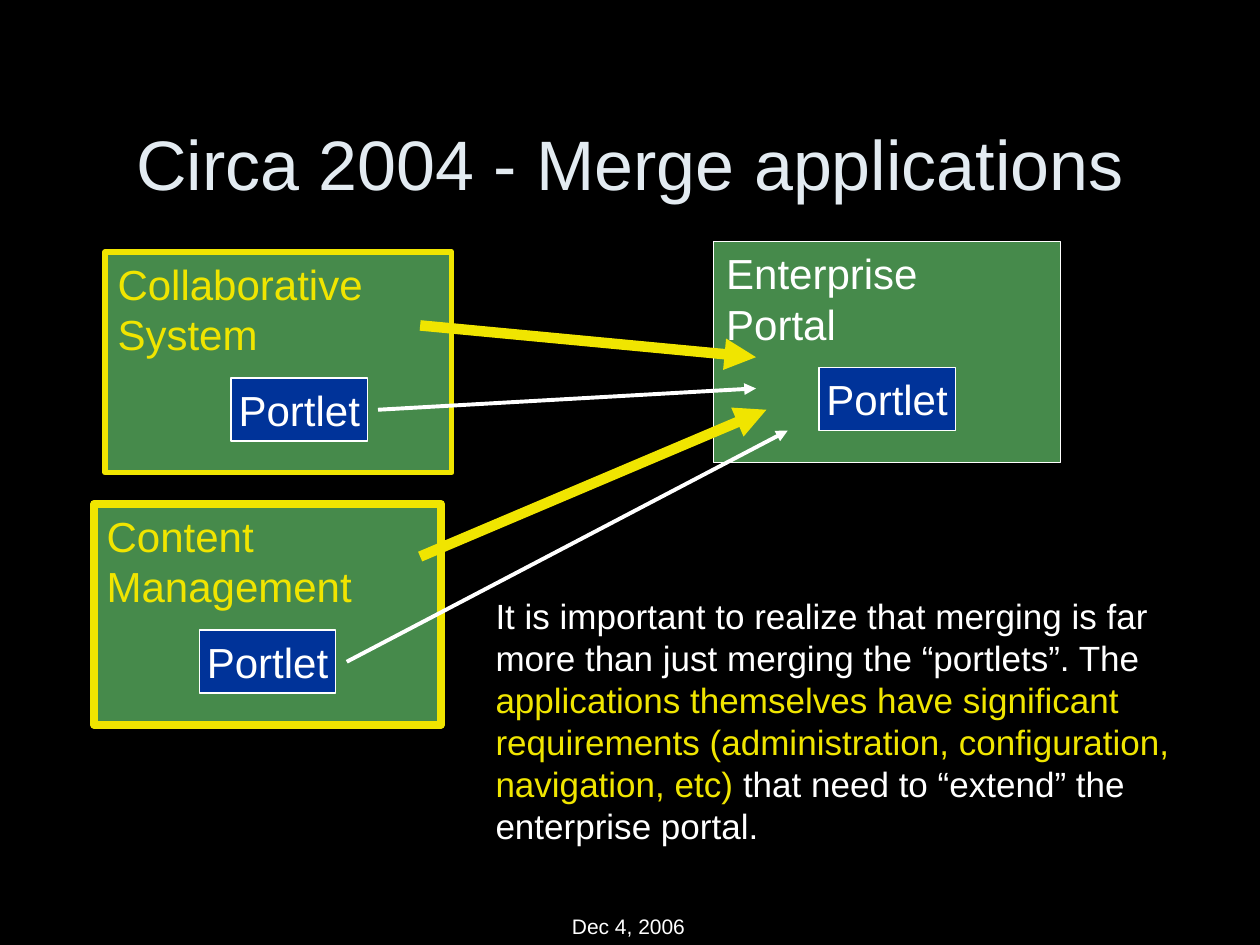
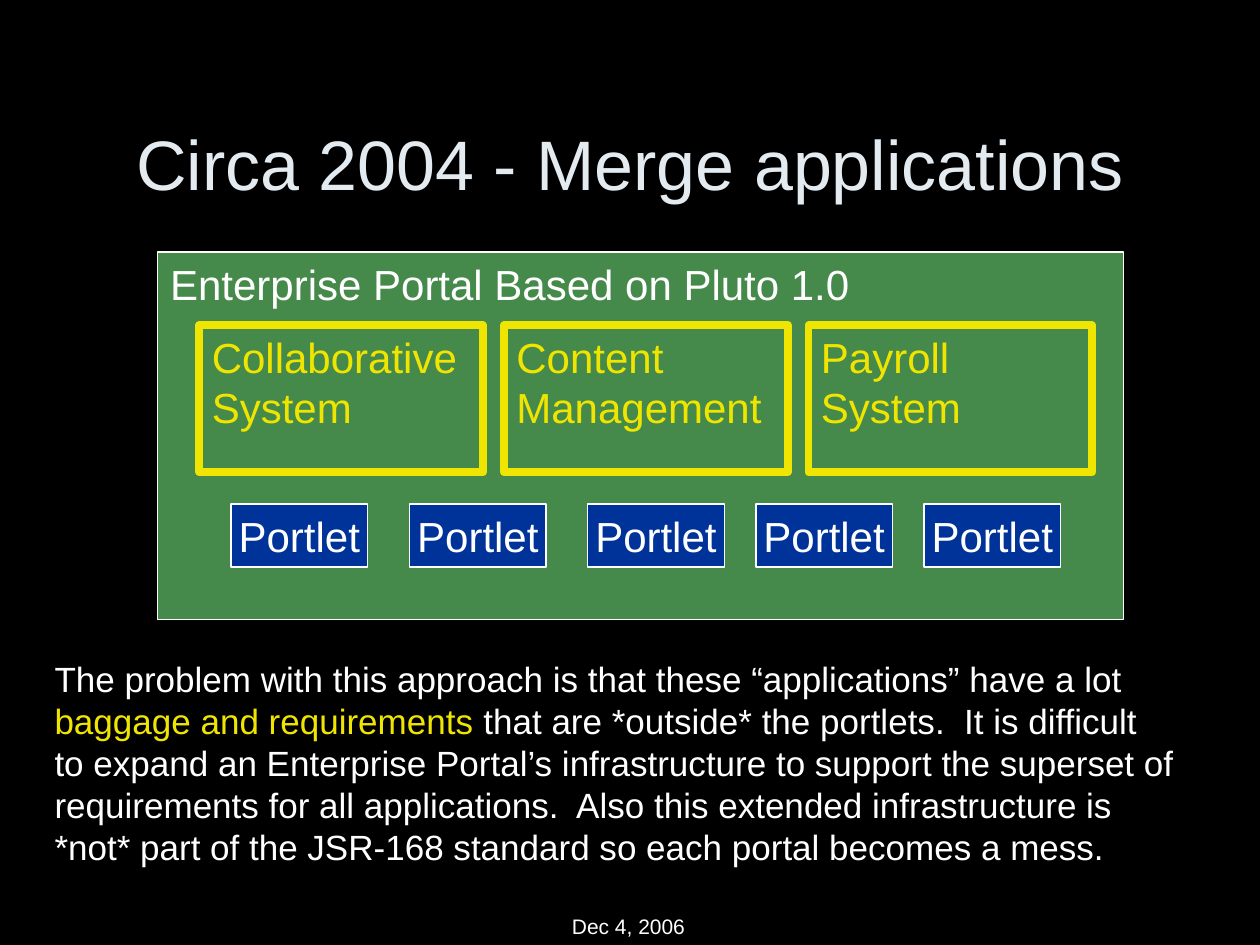
from dataclasses import dataclass

import pptx
import pptx.dml.color
import pptx.enum.shapes
import pptx.enum.text
import pptx.oxml.ns
import pptx.util
from lxml import etree

Cm, Pt = pptx.util.Cm, pptx.util.Pt
ALIGN = pptx.enum.text.PP_ALIGN
ANCHOR = pptx.enum.text.MSO_ANCHOR

# Shared look
COLORS = {
    "background": "000000",
    "title": "E3EBF1",
    "white": "FFFFFF",
    "yellow": "F0E500",
    "green": "468A4B",
    "blue": "003399",
}
FONT = "Arial"
TITLE = "Circa 2004 - Merge applications"
DATE = "Dec 4, 2006"
LINE_HEIGHT = 1.2
TITLE_ONLY = 5


@dataclass(frozen=True)
class Box:
    """A rectangle with a label; lengths in centimetres."""
    text: str
    left: float
    top: float
    width: float = 6.99
    height: float = 4.45
    color: str = "white"
    fill: str = "green"
    border: float = 0.75
    centered: bool = False


@dataclass(frozen=True)
class Arrow:
    """A straight arrow; lengths in centimetres."""
    x1: float
    y1: float
    x2: float
    y2: float
    color: str
    weight: float


@dataclass(frozen=True)
class Note:
    """A text box made of (text, colour) pieces; lengths in centimetres."""
    left: float
    top: float
    width: float
    height: float
    pieces: tuple[tuple[str, str], ...]
    size: float = 20
    wrap: bool = True


def rgb(name: str) -> pptx.dml.color.RGBColor:
    return pptx.dml.color.RGBColor.from_string(COLORS[name])


def portlet(left: float, top: float) -> Box:
    return Box("Portlet", left, top, 2.75, 1.27, fill="blue", centered=True)


# Drawing functions
def write(p, text: str, *, size: float = 24, color: str = "white",
          align=ALIGN.LEFT) -> None:
    p.alignment = align
    p.line_spacing = Pt(size * LINE_HEIGHT)
    p.space_before = Pt(0)
    r = p.add_run()
    r.text = text
    r.font.name = FONT
    r.font.size = Pt(size)
    r.font.color.rgb = rgb(color)


def draw_box(s, box: Box) -> None:
    sp = s.shapes.add_shape(
        pptx.enum.shapes.MSO_SHAPE.RECTANGLE,
        Cm(box.left), Cm(box.top), Cm(box.width), Cm(box.height))
    sp.shadow.inherit = False
    sp.fill.solid()
    sp.fill.fore_color.rgb = rgb(box.fill)
    sp.line.color.rgb = rgb(box.color)
    sp.line.width = Pt(box.border)
    tf = sp.text_frame
    tf.word_wrap = not box.centered
    tf.vertical_anchor = ANCHOR.MIDDLE if box.centered else ANCHOR.TOP
    for i, line in enumerate(box.text.split("\n")):
        p = tf.add_paragraph() if i else tf.paragraphs[0]
        write(p, line, color=box.color,
              align=ALIGN.CENTER if box.centered else ALIGN.LEFT)


def draw_arrow(s, arrow: Arrow) -> None:
    c = s.shapes.add_connector(
        pptx.enum.shapes.MSO_CONNECTOR.STRAIGHT,
        Cm(arrow.x1), Cm(arrow.y1), Cm(arrow.x2), Cm(arrow.y2))
    c.line.color.rgb = rgb(arrow.color)
    c.line.width = Pt(arrow.weight)
    qn = pptx.oxml.ns.qn
    etree.SubElement(c.line._get_or_add_ln(), qn("a:tailEnd"), type="triangle")
    etree.SubElement(c._element.spPr, qn("a:effectLst"))


def draw_note(s, note: Note) -> None:
    sp = s.shapes.add_textbox(
        Cm(note.left), Cm(note.top), Cm(note.width), Cm(note.height))
    tf = sp.text_frame
    tf.word_wrap = note.wrap
    for text, color in note.pieces:
        write(tf.paragraphs[0], text, size=note.size, color=color)


def add_slide(prs, boxes: list[Box], arrows: list[Arrow], note: Note) -> None:
    s = prs.slides.add_slide(prs.slide_layouts[TITLE_ONLY])
    title = s.shapes.title
    title.left, title.top = Cm(1.9), Cm(1.69)
    title.width, title.height = Cm(21.59), Cm(3.18)
    title.text_frame.vertical_anchor = ANCHOR.MIDDLE
    write(title.text_frame.paragraphs[0], TITLE, size=40, color="title",
          align=ALIGN.CENTER)
    for box in boxes:
        draw_box(s, box)
    for arrow in arrows:
        draw_arrow(s, arrow)
    draw_note(s, note)
    draw_note(s, Note(11.28, 18.29, 2.79, 0.76, ((DATE, "white"),),
                      size=12, wrap=False))


# Slide 1: separate applications feed the portal
MERGE_BOXES = [
    Box("Enterprise\nPortal", 14.39, 4.87),
    portlet(16.51, 7.41),
    Box("Collaborative\nSystem", 2.12, 5.08, color="yellow", border=3),
    portlet(4.66, 7.62),
    Box("Content\nManagement", 1.9, 10.16, color="yellow", border=4.5),
    portlet(4.02, 12.7),
]
MERGE_ARROWS = [
    Arrow(8.47, 6.56, 15.24, 7.2, "yellow", 6),
    Arrow(7.62, 8.26, 15.24, 7.83, "white", 2.25),
    Arrow(8.47, 11.22, 15.45, 8.26, "yellow", 6),
    Arrow(6.99, 13.34, 15.88, 8.68, "white", 2.25),
]
MERGE_NOTE = Note(9.74, 11.85, 15.03, 5.33, (
    ("It is important to realize that merging is far more than just merging "
     "the “portlets”. The ", "white"),
    ("applications themselves have significant requirements "
     "(administration, configuration, navigation, etc)", "yellow"),
    (" that need to “extend” the enterprise portal.", "white"),
))

# Slide 2: all applications inside one portal
APPLICATIONS = ["Collaborative\nSystem", "Content\nManagement",
                "Payroll\nSystem"]
PORTLET_LEFTS = [4.66, 8.26, 11.85, 15.24, 18.63]
PORTAL_BOXES = [
    Box("Enterprise Portal Based on Pluto 1.0", 3.18, 5.08, 19.47, 7.41),
    *(Box(name, 4.02 + 6.14 * i, 6.56, 5.72, 2.96, color="yellow", border=4.5)
      for i, name in enumerate(APPLICATIONS)),
    *(portlet(left, 10.16) for left in PORTLET_LEFTS),
]
PORTAL_NOTE = Note(0.85, 13.12, 23.11, 4.5, (
    ("The problem with this approach is that these “applications” have "
     "a lot ", "white"),
    ("baggage and requirements", "yellow"),
    (" that are *outside* the portlets.  It is difficult to expand an "
     "Enterprise Portal’s infrastructure to support the superset of "
     "requirements for all applications.  Also this extended infrastructure "
     "is *not* part of the JSR-168 standard so each portal becomes a mess.",
     "white"),
))


def main() -> None:
    prs = pptx.Presentation()
    prs.slide_width, prs.slide_height = Cm(25.4), Cm(19.05)
    fill = prs.slide_master.background.fill
    fill.solid()
    fill.fore_color.rgb = rgb("background")
    add_slide(prs, MERGE_BOXES, MERGE_ARROWS, MERGE_NOTE)
    add_slide(prs, PORTAL_BOXES, [], PORTAL_NOTE)
    prs.save("out.pptx")


if __name__ == "__main__":
    main()
